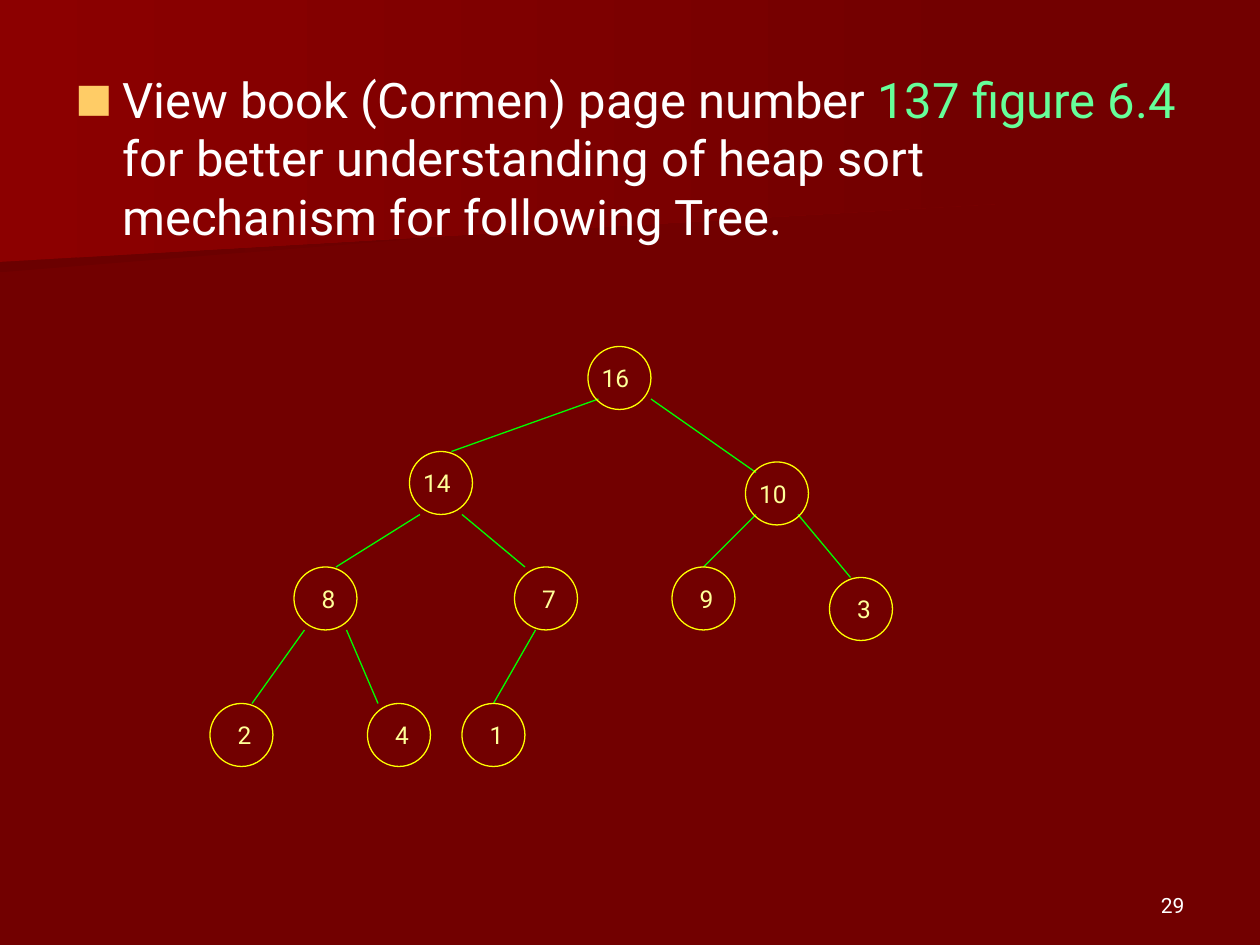
from dataclasses import dataclass
from typing import Any

from lxml import etree
from pptx import Presentation
from pptx.dml.color import RGBColor
from pptx.enum.shapes import MSO_CONNECTOR, MSO_SHAPE
from pptx.enum.text import MSO_ANCHOR, PP_ALIGN
from pptx.oxml.ns import qn
from pptx.util import Cm, Pt

OVAL = MSO_SHAPE.OVAL
STRAIGHT = MSO_CONNECTOR.STRAIGHT
TOP, MIDDLE, BOTTOM = MSO_ANCHOR.TOP, MSO_ANCHOR.MIDDLE, MSO_ANCHOR.BOTTOM
LEFT, RIGHT = PP_ALIGN.LEFT, PP_ALIGN.RIGHT


@dataclass(frozen=True)
class Theme:
    font: str = "Roboto"
    back: str = "720000"
    shade: str = "6B0000"
    glow: str = "8C0000"
    text: str = "FFFFFF"
    mark: str = "66FF99"
    bullet: str = "FFCC66"
    label: str = "FFFF99"
    ring: str = "FFFF00"
    edge: str = "00FF00"
    head: Pt = Pt(28)
    node: Pt = Pt(14)
    foot: Pt = Pt(12)
    line: Pt = Pt(0.75)


@dataclass(frozen=True)
class Node:
    key: int
    col: int
    row: int


@dataclass(frozen=True)
class Edge:
    x1: int
    y1: int
    x2: int
    y2: int


@dataclass(frozen=True)
class Band:
    color: str
    points: tuple[tuple[float, float], ...]


THEME = Theme()
STEP = 2.54 / 12
SIDE = 6

BANDS = (
    Band(THEME.shade, ((19.76, 3.89), (0, 5.49), (0, 2.57), (19.79, 2.57), (19.76, 3.25))),
    Band(THEME.glow, ((20.12, 4.11), (0, 5.28), (0, 0), (20.12, 0))),
)
NODES = (
    Node(16, 56, 33),
    Node(14, 39, 43), Node(10, 71, 44),
    Node(8, 28, 54), Node(7, 49, 54), Node(9, 64, 54), Node(3, 79, 55),
    Node(2, 20, 67), Node(4, 35, 67), Node(1, 44, 67),
)
EDGES = (
    Edge(57, 38, 43, 43), Edge(62, 38, 72, 45),
    Edge(40, 49, 32, 54), Edge(44, 49, 50, 54),
    Edge(72, 49, 67, 54), Edge(76, 49, 81, 55),
    Edge(29, 60, 24, 67), Edge(33, 60, 36, 67), Edge(51, 60, 47, 67),
)


def grid(count: int) -> Cm:
    return Cm(count * STEP)


def rgb(color: str) -> RGBColor:
    return RGBColor.from_string(color)


def apply(item: Any, values: dict[str, Any]) -> None:
    for name, value in values.items():
        setattr(item, name, value)


def write(shape: Any, runs: tuple[tuple[str, str], ...], size: Pt, frame: dict[str, Any],
          para: dict[str, Any], hang: float = 0) -> Any:
    apply(shape.text_frame, frame)
    line = shape.text_frame.paragraphs[0]
    apply(line, para)
    for text, color in runs:
        run = line.add_run()
        run.text = text
        apply(run.font, {"name": THEME.font, "size": size})
        run.font.color.rgb = rgb(color)
    props = line._p.get_or_add_pPr()
    if hang:
        props.set("marL", str(Cm(hang)))
        props.set("indent", str(-Cm(hang)))
    return props


def add_bullet(props: Any) -> None:
    color = etree.SubElement(props, qn("a:buClr"))
    etree.SubElement(color, qn("a:srgbClr"), val=THEME.bullet)
    etree.SubElement(props, qn("a:buSzPct"), val="80000")
    etree.SubElement(props, qn("a:buFont"), typeface=THEME.font)
    etree.SubElement(props, qn("a:buChar"), char="■")


def draw_band(slide: Any, band: Band) -> None:
    first, *rest = [(Cm(x), Cm(y)) for x, y in band.points]
    path = slide.shapes.build_freeform(*first, scale=1.0)
    path.add_line_segments(rest, close=True)
    shape = path.convert_to_shape()
    shape.shadow.inherit = False
    shape.line.fill.background()
    shape.fill.gradient()
    shape.fill.gradient_angle = 0
    for stop, color, place in zip(shape.fill.gradient_stops, (band.color, THEME.back), (0, 1)):
        stop.color.rgb = rgb(color)
        stop.position = place


def draw_edge(slide: Any, edge: Edge) -> None:
    ends = map(grid, (edge.x1, edge.y1, edge.x2, edge.y2))
    line = slide.shapes.add_connector(STRAIGHT, *ends)
    line.line.color.rgb = rgb(THEME.edge)
    line.line.width = THEME.line
    etree.SubElement(line._element.spPr, qn("a:effectLst"))


def draw_node(slide: Any, node: Node) -> None:
    shape = slide.shapes.add_shape(OVAL, *map(grid, (node.col, node.row, SIDE, SIDE)))
    shape.shadow.inherit = False
    shape.fill.background()
    shape.line.color.rgb = rgb(THEME.ring)
    shape.line.width = THEME.line
    write(shape, ((str(node.key), THEME.label),), THEME.node,
          {"word_wrap": False, "vertical_anchor": MIDDLE},
          {"alignment": RIGHT, "space_before": Pt(3.5)}, 0.79)


def main() -> None:
    deck = Presentation()
    apply(deck, {"slide_width": Cm(25.4), "slide_height": Cm(19.05)})
    slide = deck.slides.add_slide(deck.slide_layouts[6])
    slide.background.fill.solid()
    slide.background.fill.fore_color.rgb = rgb(THEME.back)
    for band in BANDS:
        draw_band(slide, band)

    foot = slide.shapes.add_textbox(Cm(18.2), Cm(17.36), Cm(5.93), Cm(1.27))
    write(foot, (("29", THEME.text),), THEME.foot,
          {"word_wrap": True, "vertical_anchor": BOTTOM}, {"alignment": RIGHT})

    head = slide.shapes.add_textbox(Cm(1.27), Cm(1.27), Cm(22.86), Cm(4.87))
    runs = (
        ("View book (Cormen) page number ", THEME.text),
        ("137 figure 6.4", THEME.mark),
        (" for better understanding of heap sort mechanism for following Tree.", THEME.text),
    )
    add_bullet(write(head, runs, THEME.head, {"word_wrap": True, "vertical_anchor": TOP},
                     {"alignment": LEFT, "space_before": Pt(7)}, 0.95))

    for edge in EDGES:
        draw_edge(slide, edge)
    for node in NODES:
        draw_node(slide, node)
    deck.save("out.pptx")


if __name__ == "__main__":
    main()
